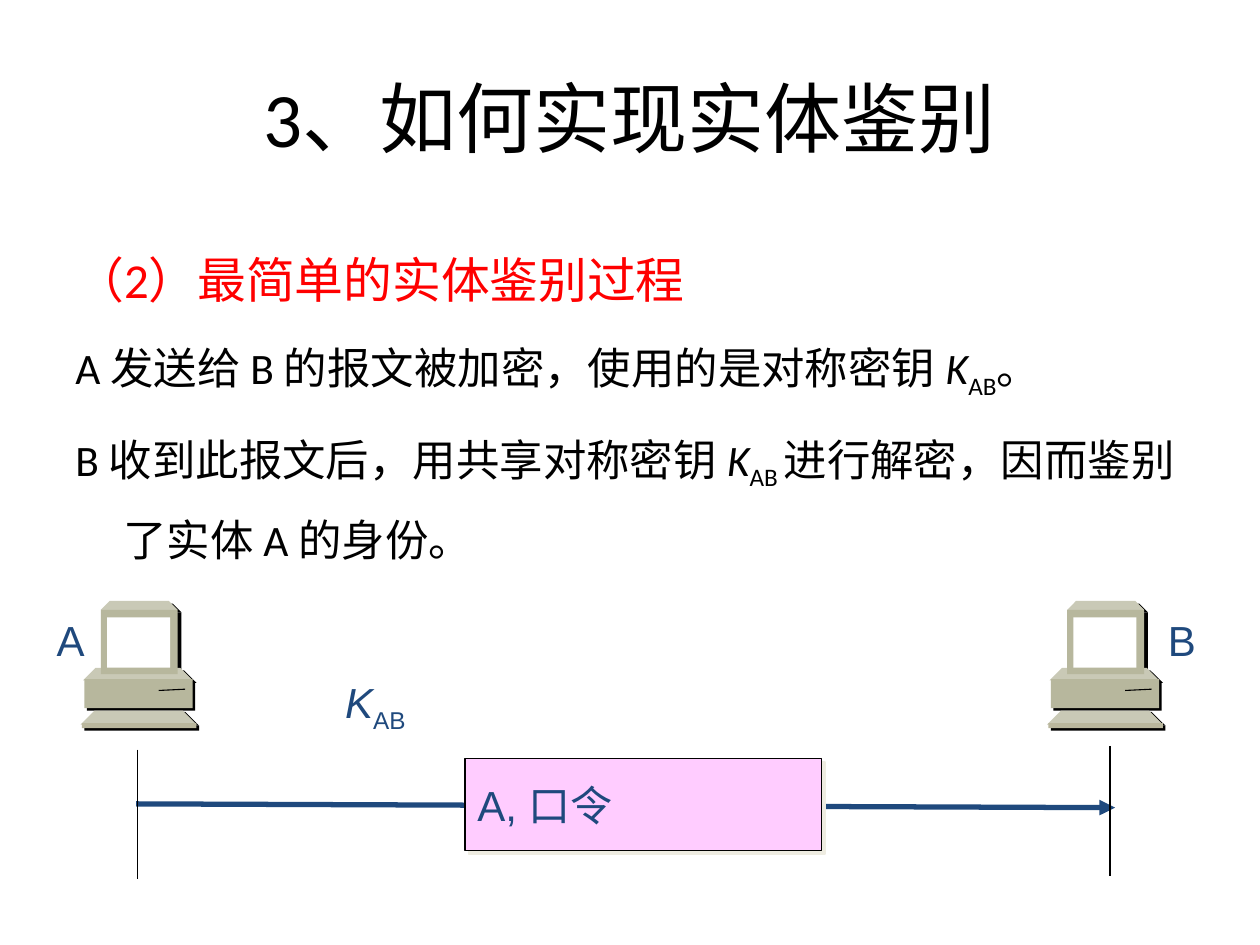
import pptx
import pptx.dml.color
import pptx.enum.shapes
import pptx.enum.text
import pptx.oxml
import pptx.oxml.ns
import pptx.util
from pptx.util import Inches

COLORS = {
    "black": "000000",
    "white": "FFFFFF",
    "red": "FF0000",
    "navy": "1F497D",
    "pink": "FFCCFF",
    "cream": "EEECE1",
    "light": "C9C9B6",
    "case": "B7B79D",
    "base": "BAB79D",
}
COMPUTER_PARTS = [
    ("trapezoid", 0.69, 5.32, 0.87, 0.1, "black"),
    ("trapezoid", 0.82, 4.79, 0.62, 0.07, "black"),
    ("block", 0.82, 4.86, 0.62, 0.51, "black"),
    ("block", 0.69, 5.41, 0.86, 0.23, "black"),
    ("trapezoid", 0.66, 5.65, 0.92, 0.11, "black"),
    ("block", 0.67, 5.76, 0.91, 0.04, "black"),
    ("trapezoid", 0.66, 5.3, 0.87, 0.1, "light"),
    ("trapezoid", 0.8, 4.77, 0.61, 0.07, "light"),
    ("block", 0.8, 4.84, 0.61, 0.51, "case"),
    ("block", 0.67, 5.39, 0.86, 0.23, "case"),
    ("block", 0.85, 4.9, 0.5, 0.4, "white"),
    ("line", 1.47, 5.47, -0.21, 0.01, "black"),
    ("trapezoid", 0.64, 5.64, 0.92, 0.11, "light"),
    ("block", 0.65, 5.74, 0.91, 0.04, "base"),
]
COMPUTER_GAP = 7.67


def color(name):
    return pptx.dml.color.RGBColor.from_string(COLORS[name])


def append_xml(parent, tag, content):
    namespace = pptx.oxml.ns.nsdecls("a")
    parent.append(pptx.oxml.parse_xml(f"<a:{tag} {namespace}>{content}</a:{tag}>"))


def paint(shape, fill):
    shape.shadow.inherit = False
    shape.fill.solid()
    shape.fill.fore_color.rgb = color(fill)
    shape.line.fill.background()


def add_block(shapes, left, top, width, height, fill):
    block = shapes.add_shape(
        pptx.enum.shapes.MSO_SHAPE.RECTANGLE,
        Inches(left), Inches(top), Inches(width), Inches(height),
    )
    paint(block, fill)
    return block


def add_trapezoid(shapes, left, top, width, height, fill):
    right, bottom = left + width, top + height
    slant = height
    corners = [(left + slant, top), (right - slant, top), (right, bottom)]
    builder = shapes.build_freeform(Inches(left), Inches(bottom))
    builder.add_line_segments([(Inches(x), Inches(y)) for x, y in corners], close=True)
    paint(builder.convert_to_shape(), fill)


def add_line(shapes, start, end, line_color, weight, arrow=False):
    line = shapes.add_connector(
        pptx.enum.shapes.MSO_CONNECTOR.STRAIGHT,
        Inches(start[0]), Inches(start[1]), Inches(end[0]), Inches(end[1]),
    )
    line.line.color.rgb = color(line_color)
    line.line.width = pptx.util.Pt(weight)
    if arrow:
        append_xml(line.line._get_or_add_ln(), "tailEnd", "")
        line.line._get_or_add_ln()[-1].set("type", "triangle")
    append_xml(line._element.spPr, "effectLst", "")


def add_computer(page, offset):
    shapes = page.shapes.add_group_shape().shapes
    for kind, left, top, width, height, fill in COMPUTER_PARTS:
        left += offset
        if kind == "block":
            add_block(shapes, left, top, width, height, fill)
        elif kind == "trapezoid":
            add_trapezoid(shapes, left, top, width, height, fill)
        else:
            add_line(shapes, (left, top), (left + width, top + height), fill, 0.63)


def write_paragraph(para, spans, size, font, font_color):
    para.font.size = pptx.util.Pt(size)
    para.font.name = font
    para.font.color.rgb = color(font_color)
    for text, style in spans:
        span = para.add_run()
        span.text = text
        if style == "italic":
            span.font.italic = True
        elif style == "subscript":
            span._r.get_or_add_rPr().set("baseline", "-25000")


def add_text_box(page, left, top, width, height, wrap=True):
    box = page.shapes.add_textbox(
        Inches(left), Inches(top), Inches(width), Inches(height)
    )
    box.text_frame.word_wrap = wrap
    return box.text_frame


def add_title(page):
    frame = add_text_box(page, 0.5, 0.3, 9, 1.25)
    frame.vertical_anchor = pptx.enum.text.MSO_ANCHOR.MIDDLE
    para = frame.paragraphs[0]
    para.alignment = pptx.enum.text.PP_ALIGN.CENTER
    write_paragraph(para, [("3、如何实现实体鉴别", None)], 44, "Calibri", "black")


def add_body(page):
    frame = add_text_box(page, 0.5, 1.75, 9, 2.7)
    paragraphs = [
        ([("（2）最简单的实体鉴别过程", None)], 27.9, "red"),
        ([("A 发送给 B 的报文被加密，使用的是对称密钥 ", None),
          ("K", "italic"), ("AB", "subscript"), ("。", None)], 24.8, "black"),
        ([("B 收到此报文后，用共享对称密钥 ", None),
          ("K", "italic"), ("AB ", "subscript"),
          ("进行解密，因而鉴别了实体 A 的身份。", None)], 24.8, "black"),
    ]
    for index, (spans, size, font_color) in enumerate(paragraphs):
        para = frame.add_paragraph() if index else frame.paragraphs[0]
        para.line_spacing = 1.4
        if index:
            para.space_before = pptx.util.Pt(5)
        properties = para._p.get_or_add_pPr()
        properties.set("marL", str(Inches(0.38)))
        properties.set("indent", str(-Inches(0.38)))
        write_paragraph(para, spans, size, "Calibri", font_color)


def add_label(page, left, top, width, spans):
    frame = add_text_box(page, left, top, width, 0.5, wrap=False)
    write_paragraph(frame.paragraphs[0], spans, 24, "Arial", "navy")


def add_message(page):
    message = add_block(page.shapes, 3.69, 6.02, 2.83, 0.73, "pink")
    message.line.color.rgb = color("black")
    message.line.width = pptx.util.Pt(0.75)
    effects = message._element.spPr.find(pptx.oxml.ns.qn("a:effectLst"))
    append_xml(effects, "outerShdw", f'<a:srgbClr val="{COLORS["cream"]}"/>')
    effects[0].set("dist", str(pptx.util.Pt(2.8)))
    effects[0].set("dir", str(45 * 60000))
    effects[0].set("algn", "ctr")
    frame = message.text_frame
    frame.word_wrap = True
    frame.vertical_anchor = pptx.enum.text.MSO_ANCHOR.MIDDLE
    para = frame.paragraphs[0]
    para.alignment = pptx.enum.text.PP_ALIGN.LEFT
    write_paragraph(para, [("A, 口令", None)], 24, "Arial", "navy")


def main():
    deck = pptx.Presentation()
    deck.slide_width = Inches(10)
    deck.slide_height = Inches(7.5)
    page = deck.slides.add_slide(deck.slide_layouts[6])
    add_title(page)
    add_body(page)
    add_line(page.shapes, (1.08, 6.38), (8.85, 6.41), "navy", 3, arrow=True)
    add_label(page, 0.35, 4.83, 0.42, [("A", None)])
    add_computer(page, 0)
    add_label(page, 9.17, 4.83, 0.43, [("B", None)])
    add_computer(page, COMPUTER_GAP)
    for x, top in [(1.09, 5.95), (8.81, 5.92)]:
        add_line(page.shapes, (x, top), (x, top + 1.03), "black", 0.75)
    add_message(page)
    add_label(page, 2.64, 5.32, 0.72, [("K", "italic"), ("AB", "subscript")])
    deck.save("out.pptx")


if __name__ == "__main__":
    main()
